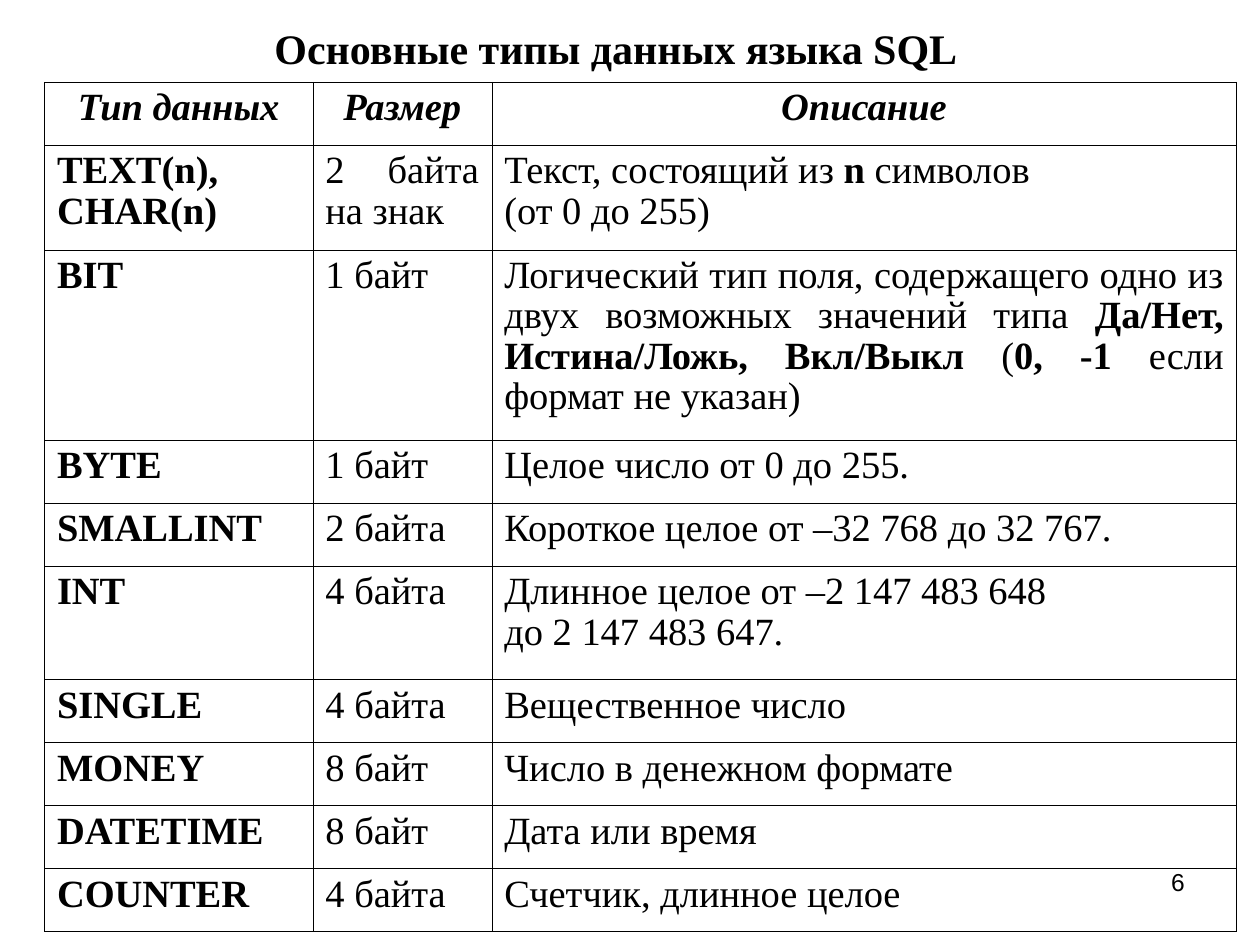
from dataclasses import dataclass

from lxml.etree import SubElement
from pptx import Presentation
from pptx.dml.color import RGBColor
from pptx.enum.text import MSO_AUTO_SIZE, PP_ALIGN
from pptx.oxml.ns import qn
from pptx.util import Pt

# Content: ** toggles bold, a line feed starts a new paragraph
TITLE = "**Основные типы данных языка SQL**"
PAGE_NUMBER = "6"
HEADER = ("Тип данных", "Размер", "Описание")
TYPES = [
    ("TEXT(n), СНАR(n)", "2 байта на знак",
     "Текст, состоящий из **n** символов\n(от 0 до 255)"),
    ("BIT", "1 байт",
     "Логический тип поля, содержащего одно из двух возможных значений типа "
     "**Да/Нет, Истина/Ложь, Вкл/Выкл **(**0, -1 **если формат не указан)"),
    ("BYTE", "1 байт", "Целое число от 0 до 255."),
    ("SMALLINT", "2 байта", "Короткое целое от –32 768 до 32 767."),
    ("INT", "4 байта", "Длинное целое от –2 147 483 648\nдо 2 147 483 647."),
    ("SINGLE", "4 байта", "Вещественное число"),
    ("MONEY", "8 байт", "Число в денежном формате"),
    ("DATETIME", "8 байт", "Дата или время"),
    ("COUNTER", "4 байта", "Счетчик, длинное целое"),
]
COL_WIDTHS = (153.4, 102.2, 425.5)
ROW_HEIGHT = 36
TALL_ROWS = {1: 59.8, 2: 108.7, 5: 64.8}


@dataclass(frozen=True)
class Theme:
    ink: str = "000000"
    serif: str = "Times New Roman"
    sans: str = "Arial"
    title: int = 24
    body: int = 22
    number: int = 14
    border: float = 0.23


THEME = Theme()


def write(tf, text, size, font, align, italic=False):
    """Fill a text frame, reading the bold marks."""
    for i, line in enumerate(text.split("\n")):
        p = tf.paragraphs[0] if i == 0 else tf.add_paragraph()
        p.alignment = align
        for j, part in enumerate(line.split("**")):
            if not part:
                continue
            r = p.add_run()
            r.text = part
            r.font.size = Pt(size)
            r.font.name = font
            r.font.bold = j % 2 == 1
            r.font.italic = italic
            r.font.color.rgb = RGBColor.from_string(THEME.ink)


def add_text(s, box, *style):
    tf = s.shapes.add_textbox(*map(Pt, box)).text_frame
    tf.word_wrap = True
    write(tf, *style)
    return tf


def set_borders(cell):
    tc_pr = cell._tc.get_or_add_tcPr()
    for side in ("a:lnL", "a:lnR", "a:lnT", "a:lnB"):
        ln = SubElement(tc_pr, qn(side), w=str(Pt(THEME.border)))
        SubElement(SubElement(ln, qn("a:solidFill")), qn("a:srgbClr"), val=THEME.ink)


prs = Presentation()
prs.slide_width, prs.slide_height = Pt(720), Pt(540)
s = prs.slides.add_slide(prs.slide_layouts[6])

# Page number, behind the unfilled table
add_text(s, (516, 492, 168, 37.5), PAGE_NUMBER, THEME.number, THEME.sans, PP_ALIGN.RIGHT)

# Title
tf = add_text(s, (60, 9.5, 584, 36), TITLE, THEME.title, THEME.serif, PP_ALIGN.CENTER)
tf.auto_size = MSO_AUTO_SIZE.SHAPE_TO_FIT_TEXT
tf.paragraphs[0].space_before = Pt(15)

# Table of data types
rows = [HEADER] + TYPES
heights = [TALL_ROWS.get(i, ROW_HEIGHT) for i in range(len(rows))]
frame = s.shapes.add_table(len(rows), len(HEADER), Pt(25.4), Pt(46.9),
                           Pt(sum(COL_WIDTHS)), Pt(sum(heights)))
table = frame.table
table.horz_banding = False
for col, width in zip(table.columns, COL_WIDTHS):
    col.width = Pt(width)
for i, (row, height, texts) in enumerate(zip(table.rows, heights, rows)):
    row.height = Pt(height)
    head = i == 0
    for j, (cell, text) in enumerate(zip(row.cells, texts)):
        set_borders(cell)
        cell.fill.background()
        if head or j == 0:
            text = f"**{text}**"
        write(cell.text_frame, text, THEME.body, THEME.serif,
              PP_ALIGN.CENTER if head else PP_ALIGN.JUSTIFY, italic=head)
        for p in cell.text_frame.paragraphs:
            p.line_spacing = 0.95

prs.save("out.pptx")
